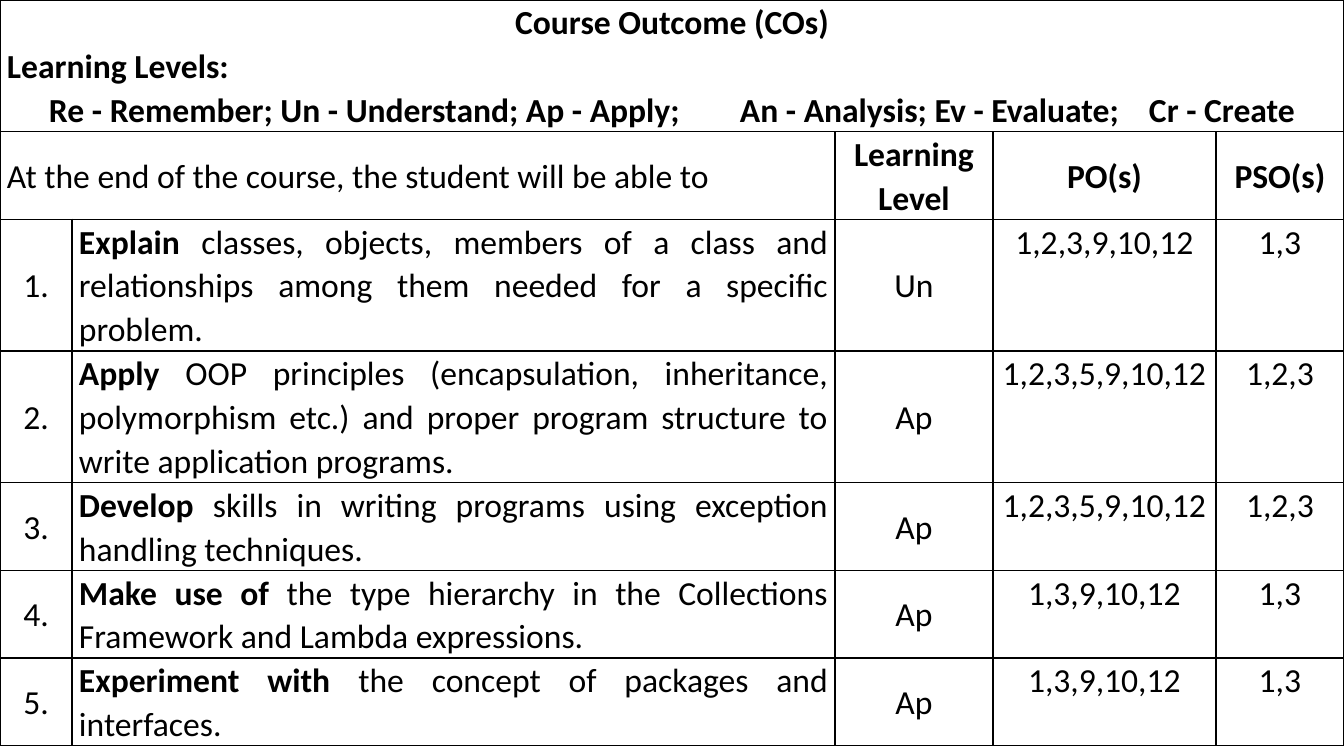
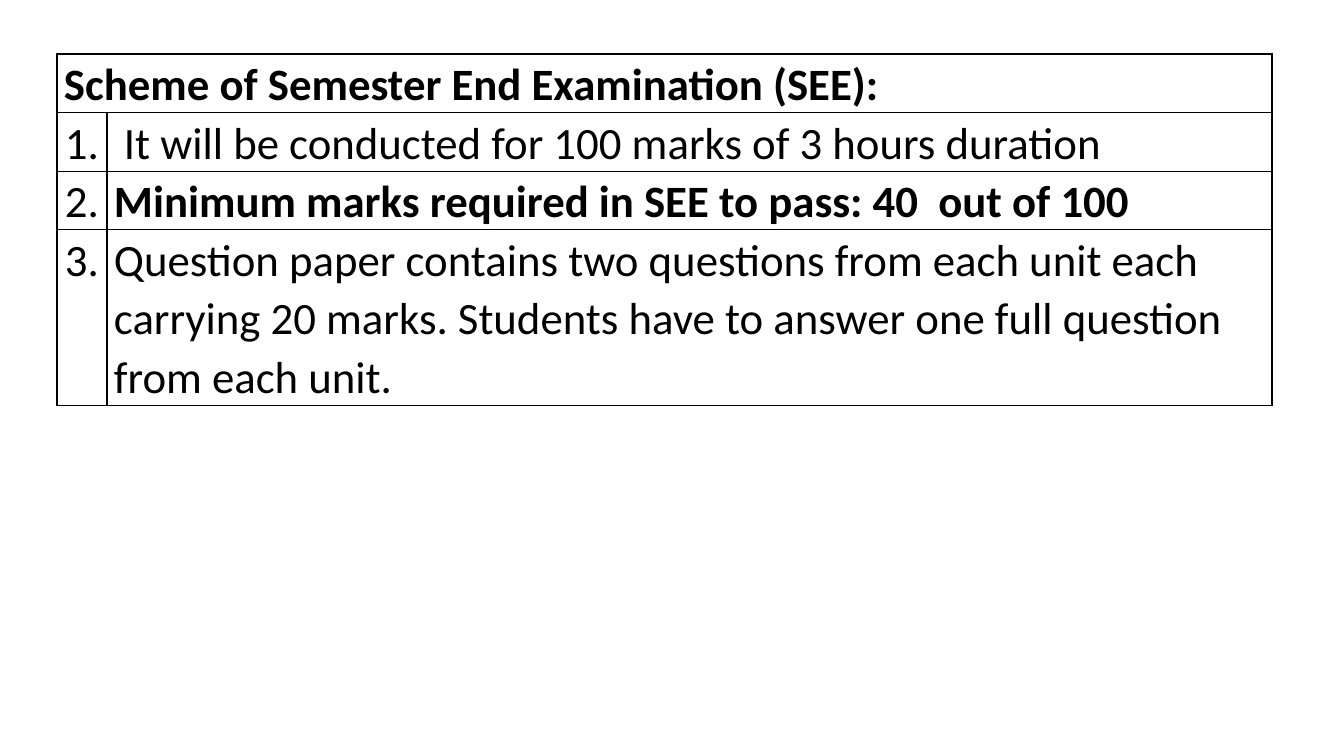
from dataclasses import dataclass
from typing import NamedTuple

from lxml import etree
from pptx import Presentation
from pptx.dml.color import RGBColor
from pptx.enum.text import MSO_ANCHOR, PP_ALIGN
from pptx.oxml.ns import qn
from pptx.util import Emu, Pt

LEFT, MID, JUST = PP_ALIGN.LEFT, PP_ALIGN.CENTER, PP_ALIGN.JUSTIFY
TOP, CENTER = MSO_ANCHOR.TOP, MSO_ANCHOR.MIDDLE
BLACK = RGBColor(0, 0, 0)
FONT = "Calibri"
WIDE, HIGH = 1344, 756
INSET = 7
EDGE = Pt(1)


class Para(NamedTuple):
    text: str
    lead: str = ""
    bold: bool = False
    align: PP_ALIGN = LEFT
    tabs: tuple[int, ...] = ()


@dataclass
class Box:
    paras: list[Para]
    anchor: MSO_ANCHOR = CENTER
    span: int = 1


@dataclass
class Row:
    lines: int
    boxes: list[Box]


@dataclass
class Grid:
    left: int
    top: int
    cols: list[int]
    size: int
    line: int
    rows: list[Row]


def px(n: int) -> Emu:
    return Emu(12192000 * n // WIDE)


def box(text: str, *, lead: str = "", bold: bool = False, align: PP_ALIGN = LEFT,
        tabs: tuple[int, ...] = (), anchor: MSO_ANCHOR = CENTER, span: int = 1) -> Box:
    return Box([Para(text, lead, bold, align, tabs)], anchor, span)


def frame(cell) -> None:
    """Clear the fill and draw a thin black line on all four sides."""
    cell.fill.background()
    props = cell._tc.get_or_add_tcPr()
    for i, side in enumerate(("a:lnL", "a:lnR", "a:lnT", "a:lnB")):
        line = etree.Element(qn(side), w=str(EDGE))
        fill = etree.SubElement(line, qn("a:solidFill"))
        etree.SubElement(fill, qn("a:srgbClr"), val=str(BLACK))
        props.insert(i, line)


def write(par, text: str, *, size: int, lead: str = "", bold: bool = False,
          align: PP_ALIGN = LEFT, tabs: tuple[int, ...] = ()) -> None:
    """Fill a paragraph with an optional bold lead and the text after it."""
    par.alignment = align
    par.line_spacing = 1.07
    if tabs:
        stops = etree.SubElement(par._p.get_or_add_pPr(), qn("a:tabLst"))
        for stop in tabs:
            etree.SubElement(stops, qn("a:tab"), pos=str(px(stop)), algn="l")
    for part, heavy in ((lead, True), (text, bold)):
        if part:
            run = par.add_run()
            run.text = part
            run.font.name, run.font.size = FONT, Pt(size)
            run.font.bold = heavy
            run.font.color.rgb = BLACK


def fill(cell, item: Box, size: int) -> None:
    cell.vertical_anchor = item.anchor
    cell.margin_left = cell.margin_right = px(INSET)
    cell.margin_top = cell.margin_bottom = 0
    for i, para in enumerate(item.paras):
        body = cell.text_frame
        par = body.add_paragraph() if i else body.paragraphs[0]
        write(par, size=size, **para._asdict())


def draw(deck, grid: Grid) -> None:
    """Add a slide that holds the grid as a table."""
    slide = deck.slides.add_slide(deck.slide_layouts[6])
    high = grid.line * sum(row.lines for row in grid.rows)
    table = slide.shapes.add_table(
        len(grid.rows), len(grid.cols), px(grid.left), px(grid.top),
        px(sum(grid.cols)), px(high)).table
    table.first_row = table.horz_banding = False
    for col, wide in zip(table.columns, grid.cols):
        col.width = px(wide)
    for cell in table.iter_cells():
        frame(cell)
    for r, row in enumerate(grid.rows):
        table.rows[r].height = px(grid.line * row.lines)
        c = 0
        for item in row.boxes:
            cell = table.cell(r, c)
            if item.span > 1:
                cell.merge(table.cell(r, c + item.span - 1))
            fill(cell, item, grid.size)
            c += item.span


def goal(num: int, lines: int, lead: str, text: str, level: str, po: str, pso: str) -> Row:
    return Row(lines, [
        box(f"{num}.", align=MID),
        box(text, lead=lead, align=JUST),
        box(level, align=MID),
        box(po, align=MID, anchor=TOP),
        box(pso, align=MID, anchor=TOP),
    ])


def rule(num: int, lines: int, item: Box) -> Row:
    return Row(lines, [box(f"{num}.", align=MID, anchor=TOP), item])


GOALS = [
    (3, "Explain ", "classes, objects, members of a class and relationships among them "
     "needed for a specific problem.", "Un", "1,2,3,9,10,12", "1,3"),
    (3, "Apply ", "OOP principles (encapsulation, inheritance, polymorphism etc.) and "
     "proper program structure to write application programs.",
     "Ap", "1,2,3,5,9,10,12", "1,2,3"),
    (2, "Develop ", "skills in writing programs using exception handling techniques.",
     "Ap", "1,2,3,5,9,10,12", "1,2,3"),
    (2, "Make use of", " the type hierarchy in the Collections Framework and Lambda "
     "expressions.", "Ap", "1,3,9,10,12", "1,3"),
    (2, "Experiment with ", "the concept of packages and interfaces.",
     "Ap", "1,3,9,10,12", "1,3"),
]

RULES = [
    (1, box("\tIt will be conducted for 100 marks of 3 hours duration", tabs=(10,))),
    (1, box("Minimum marks required in SEE to pass: 40  out of 100", bold=True)),
    (3, box("Question paper contains two questions from each unit each carrying 20 marks. "
            "Students have to answer one full question from each unit.")),
]

LEVELS = Box([
    Para("Course Outcome (COs)", bold=True, align=MID),
    Para("Learning Levels:", bold=True),
    Para("\tRe - Remember; Un - Understand; Ap - Apply;"
         "\tAn - Analysis; Ev - Evaluate;\tCr - Create", bold=True, tabs=(42, 733, 1142)),
], span=5)

HEADS = [box("At the end of the course, the student will be able to", span=2)] + [
    box(name, bold=True, align=MID) for name in ("Learning Level", "PO(s)", "PSO(s)")]

COURSE = Grid(0, 0, [72, 763, 158, 223, 128], 24, 43, [
    Row(3, [LEVELS]), Row(2, HEADS),
    *(goal(n, *item) for n, item in enumerate(GOALS, 1))])

EXAM = Grid(57, 54, [50, 1165], 32, 58, [
    Row(1, [box("Scheme of Semester End Examination (SEE):", bold=True, span=2)]),
    *(rule(n, *item) for n, item in enumerate(RULES, 1))])


def main() -> None:
    deck = Presentation()
    deck.slide_width, deck.slide_height = px(WIDE), px(HIGH)
    for grid in (COURSE, EXAM):
        draw(deck, grid)
    deck.save("out.pptx")


if __name__ == "__main__":
    main()
